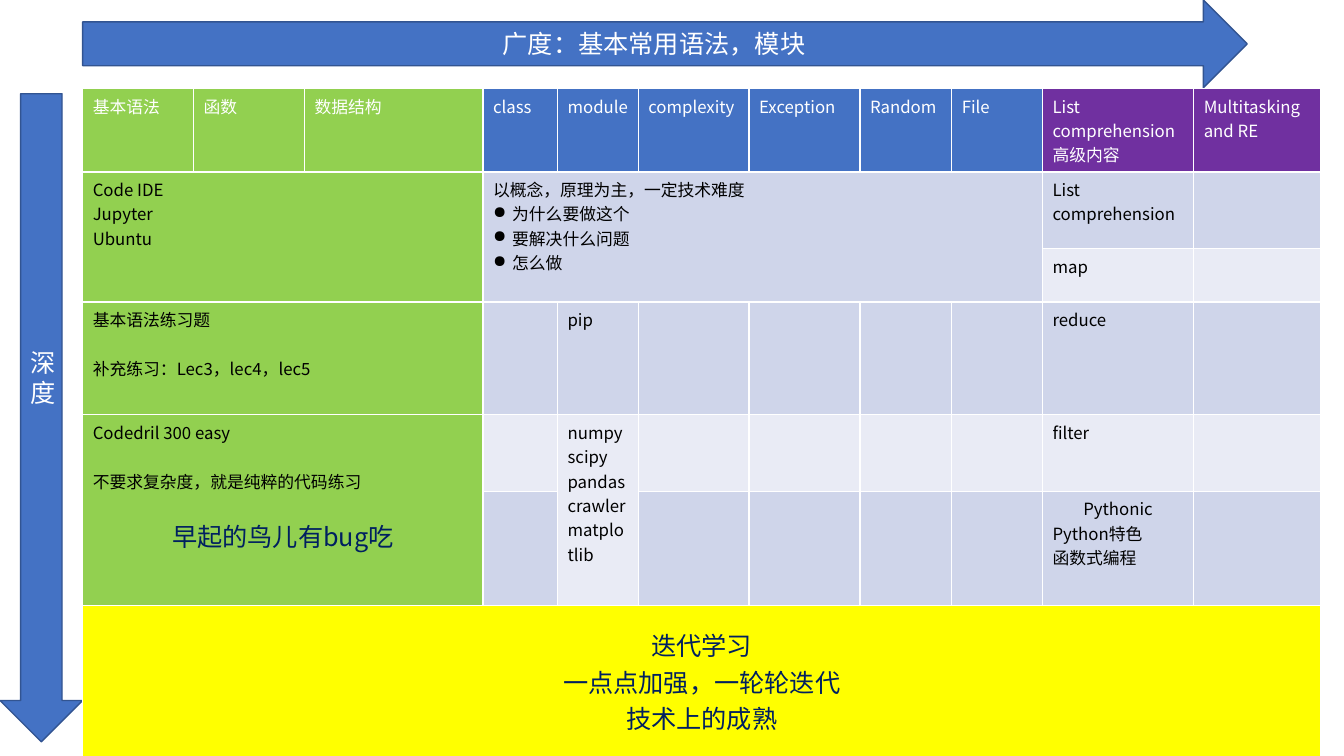
import pptx
import pptx.util
import pptx.dml.color
import pptx.enum.shapes
import pptx.enum.text
import pptx.oxml.ns
import lxml.etree

Inches, Pt = pptx.util.Inches, pptx.util.Pt
RGBColor = pptx.dml.color.RGBColor
CENTER = pptx.enum.text.PP_ALIGN.CENTER
LEFT = pptx.enum.text.PP_ALIGN.LEFT
MIDDLE = pptx.enum.text.MSO_ANCHOR.MIDDLE
ARROWS = pptx.enum.shapes.MSO_SHAPE

FONT = "Noto Sans CJK SC"
WHITE = RGBColor(0xFF, 0xFF, 0xFF)
BLACK = RGBColor(0x00, 0x00, 0x00)
NAVY = RGBColor(0x00, 0x20, 0x60)
BLUE = RGBColor(0x44, 0x72, 0xC4)
DARK_BLUE = RGBColor(0x32, 0x54, 0x91)
GREEN = RGBColor(0x92, 0xD0, 0x50)
PURPLE = RGBColor(0x70, 0x30, 0xA0)
YELLOW = RGBColor(0xFF, 0xFF, 0x00)
BAND_DARK = RGBColor(0xCF, 0xD5, 0xEA)
BAND_LIGHT = RGBColor(0xE9, 0xEB, 0xF5)


def write(paragraph, text, size, color, align=LEFT):
    paragraph.alignment = align
    run = paragraph.add_run()
    run.text = text
    run.font.name = FONT
    run.font.size = Pt(size)
    run.font.bold = False
    run.font.color.rgb = color
    east_asian = lxml.etree.SubElement(run.font._element, pptx.oxml.ns.qn("a:ea"))
    east_asian.set("typeface", FONT)


def write_lines(frame, lines, size, color, align=LEFT):
    for index, line in enumerate(lines):
        paragraph = frame.paragraphs[0] if index == 0 else frame.add_paragraph()
        write(paragraph, line, size, color, align)


presentation = pptx.Presentation()
presentation.slide_width = Inches(13.33)
presentation.slide_height = Inches(7.5)
slide = presentation.slides.add_slide(presentation.slide_layouts[6])

# Breadth and depth arrows
for kind, left, top, width, height, label, bottom_inset in (
    (ARROWS.RIGHT_ARROW, 0.82, 0, 11.55, 0.87, "广度：基本常用语法，模块", 0.05),
    (ARROWS.DOWN_ARROW, 0, 0.93, 0.82, 6.43, "深度", 0.65),
):
    arrow = slide.shapes.add_shape(
        kind, Inches(left), Inches(top), Inches(width), Inches(height))
    arrow.shadow.inherit = False
    arrow.fill.solid()
    arrow.fill.fore_color.rgb = BLUE
    arrow.line.color.rgb = DARK_BLUE
    arrow.line.width = Pt(1)
    arrow.text_frame.word_wrap = True
    arrow.text_frame.vertical_anchor = MIDDLE
    arrow.text_frame.margin_bottom = Inches(bottom_inset)
    write_lines(arrow.text_frame, [label], 18, WHITE, CENTER)

# Course table
column_widths = [1.1, 1.1, 1.77, 0.74, 0.8, 1.1, 1.1, 0.91, 0.9, 1.5, 1.26]
row_heights = [0.76, 0.76, 0.53, 1.12, 0.76, 1.13, 1.51]
last_row = len(row_heights) - 1
course = slide.shapes.add_table(
    len(row_heights), len(column_widths), Inches(0.82), Inches(0.88),
    Inches(sum(column_widths)), Inches(sum(row_heights))).table
for column, width in zip(course.columns, column_widths):
    column.width = Inches(width)
for row, height in zip(course.rows, row_heights):
    row.height = Inches(height)

# Fills: basics, core and advanced columns, banded rows, closing row
for r in range(len(row_heights)):
    for c in range(len(column_widths)):
        if r == last_row:
            color = YELLOW
        elif c < 3:
            color = GREEN
        elif r == 0:
            color = BLUE if c < 9 else PURPLE
        else:
            color = BAND_DARK if r % 2 else BAND_LIGHT
        fill = course.cell(r, c).fill
        fill.solid()
        fill.fore_color.rgb = color

# Merged areas: first cell to last cell
for first, last in (
    ((1, 0), (2, 2)), ((1, 3), (2, 8)), ((3, 0), (3, 2)),
    ((4, 0), (5, 2)), ((4, 4), (5, 4)), ((last_row, 0), (last_row, 10)),
):
    course.cell(*first).merge(course.cell(*last))

# Header row
topics = [
    "基本语法", "函数", "数据结构", "class", "module", "complexity", "Exception",
    "Random", "File", "List comprehension\n高级内容", "Multitasking and RE"]
for c, topic in enumerate(topics):
    write_lines(course.cell(0, c).text_frame, topic.split("\n"), 12, WHITE)

# Body text
body = {
    (1, 0): ["Code IDE", "Jupyter", "Ubuntu"],
    (1, 3): ["以概念，原理为主，一定技术难度", "为什么要做这个", "要解决什么问题", "怎么做"],
    (1, 9): ["List comprehension"],
    (2, 9): ["map"],
    (3, 0): ["基本语法练习题", "补充练习：Lec3，lec4，lec5"],
    (3, 4): ["pip"],
    (3, 9): ["reduce"],
    (4, 0): ["Codedril 300 easy", "不要求复杂度，就是纯粹的代码练习"],
    (4, 4): ["numpy", "scipy", "pandas", "crawler", "matplotlib"],
    (4, 9): ["filter"],
    (5, 9): ["Pythonic", "Python特色", "函数式编程"],
}
for position, lines in body.items():
    write_lines(course.cell(*position).text_frame, lines, 12, BLACK)
course.cell(5, 9).text_frame.paragraphs[0].alignment = CENTER

# Bulleted questions
for question in course.cell(1, 3).text_frame.paragraphs[1:]:
    properties = question._p.get_or_add_pPr()
    properties.set("marL", str(Inches(0.19)))
    properties.set("indent", str(-Inches(0.19)))
    bullet = lxml.etree.SubElement(properties, pptx.oxml.ns.qn("a:buChar"))
    bullet.set("char", "●")

# Motto and one-line gaps in the practice cells
motto = course.cell(4, 0).text_frame.add_paragraph()
write(motto, "早起的鸟儿有bug吃", 18, NAVY, CENTER)
for r in (3, 4):
    for paragraph in course.cell(r, 0).text_frame.paragraphs[1:]:
        paragraph.space_before = Pt(17.4)

# Closing row
closing = course.cell(last_row, 0)
closing.vertical_anchor = MIDDLE
write_lines(closing.text_frame, ["迭代学习", "一点点加强，一轮轮迭代", "技术上的成熟"],
            18, NAVY, CENTER)

presentation.save("out.pptx")
